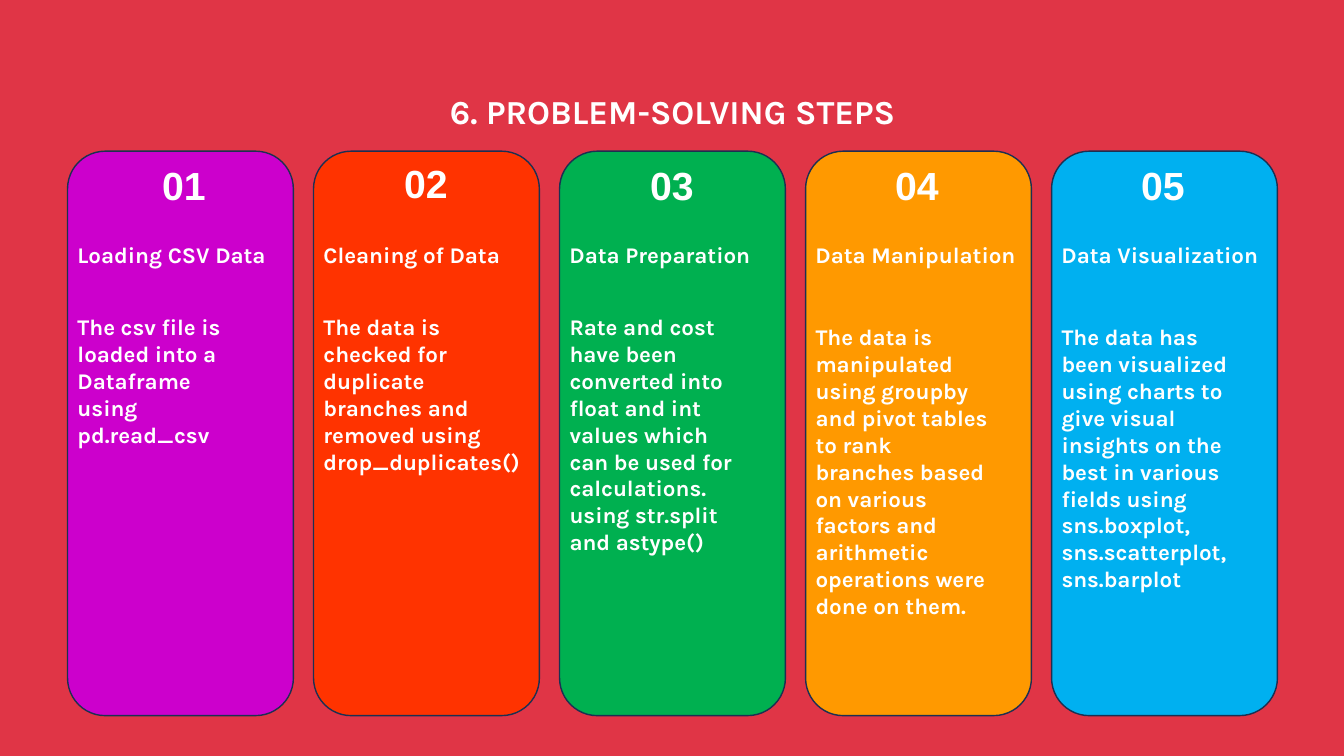
from pptx import Presentation
from pptx import util as u
from pptx.dml.color import RGBColor
from pptx.enum import shapes, text

theme = {
    "background": RGBColor.from_string("E03546"),
    "outline": RGBColor.from_string("1C3052"),
    "cards": [RGBColor.from_string(code) for code in
              ("CC00CC", "FF3300", "00B050", "FF9900", "00B0F0")],
    "title": {"name": "Karla", "size": u.Pt(24), "bold": True},
    "number": {"name": "Arial", "size": u.Pt(28), "bold": True},
    "body": {"name": "Karla", "size": u.Pt(16), "bold": True},
    "text": RGBColor.from_string("FFFFFF"),
}

steps = [
    {"heading": "Loading CSV Data", "number_at": (0.84, 1.55), "body_top": 3.06, "body_width": 1.91,
     "body": "The csv file is loaded into a Dataframe using pd.read_csv"},
    {"heading": "Cleaning of Data", "number_at": (0.8, 1.53), "body_top": 3.06, "body_width": 2.23,
     "body": "The data is checked for duplicate branches and removed using drop_duplicates()"},
    {"heading": "Data Preparation", "number_at": (0.8, 1.55), "body_top": 3.06, "body_width": 1.91,
     "body": "Rate and cost have been converted into float and int values which can be used "
             "for calculations. using str.split and astype()"},
    {"heading": "Data Manipulation", "number_at": (0.79, 1.55), "body_top": 3.16, "body_width": 1.91,
     "body": "The data is manipulated using groupby and pivot tables to rank branches based on "
             "various factors and arithmetic operations were done on them."},
    {"heading": "Data Visualization", "number_at": (0.79, 1.55), "body_top": 3.16, "body_width": 1.91,
     "body": "The data has been visualized using charts to give visual insights on the best in "
             "various fields using sns.boxplot, sns.scatterplot, sns.barplot"},
]


def write(shape, words, style):
    paragraph = shape.text_frame.paragraphs[0]
    run = paragraph.add_run()
    run.text = words
    for name, value in theme[style].items():
        setattr(run.font, name, value)
    run.font.color.rgb = theme["text"]
    return paragraph


def add_label(group, words, style, left, top, width, height):
    box = group.shapes.add_textbox(u.Inches(left), u.Inches(top), u.Inches(width), u.Inches(height))
    box.text_frame.word_wrap = True
    box.text_frame.auto_size = text.MSO_AUTO_SIZE.SHAPE_TO_FIT_TEXT
    write(box, words, style)


presentation = Presentation()
presentation.slide_width = u.Inches(13.33)
presentation.slide_height = u.Inches(7.5)
slide = presentation.slides.add_slide(presentation.slide_layouts[5])
slide.background.fill.solid()
slide.background.fill.fore_color.rgb = theme["background"]

title = slide.shapes.title
title_place = {"left": 0.92, "top": 0.4, "width": 11.5, "height": 1.45}
for name, value in title_place.items():
    setattr(title, name, u.Inches(value))
title.text_frame.auto_size = text.MSO_AUTO_SIZE.NONE
title.text_frame.vertical_anchor = text.MSO_ANCHOR.MIDDLE
paragraph = write(title, "6. PROBLEM-SOLVING STEPS", "title")
paragraph.alignment = text.PP_ALIGN.CENTER
paragraph.line_spacing = 0.9

first_left, pitch = 0.67, 2.44
card_top, card_width, card_height = 1.5, 2.24, 5.6
line_height, padding = 0.27, 0.1

for index, step in enumerate(steps):
    left = first_left + index * pitch
    group = slide.shapes.add_group_shape()
    card = group.shapes.add_shape(
        shapes.MSO_SHAPE.ROUNDED_RECTANGLE,
        u.Inches(left), u.Inches(card_top), u.Inches(card_width), u.Inches(card_height))
    card.adjustments[0] = 0.167
    card.shadow.inherit = False
    card.fill.solid()
    card.fill.fore_color.rgb = theme["cards"][index]
    card.line.color.rgb = theme["outline"]
    card.line.width = u.Pt(1)

    number_offset, number_top = step["number_at"]
    add_label(group, f"{index + 1:02d}", "number", left + number_offset, number_top, 0.65, 0.57)
    add_label(group, step["heading"], "body", left, 2.34, 2.23, line_height + padding)
    body_lines = (5, 6, 9, 11, 10)[index]
    add_label(group, step["body"], "body", left, step["body_top"], step["body_width"],
              body_lines * line_height + padding)

presentation.save("out.pptx")
